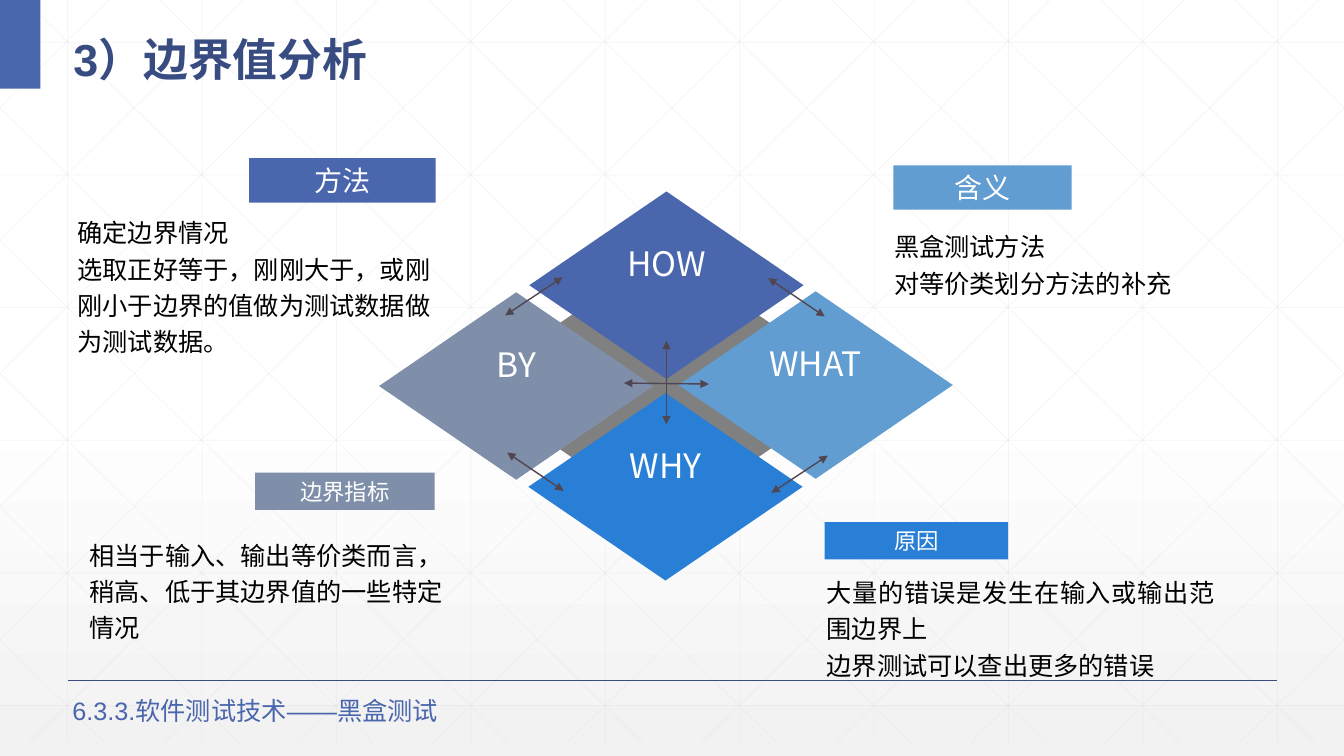
from dataclasses import dataclass

from lxml import etree
from pptx import Presentation
from pptx.dml.color import RGBColor
from pptx.enum.lang import MSO_LANGUAGE_ID
from pptx.enum.shapes import MSO_CONNECTOR, MSO_SHAPE
from pptx.enum.text import MSO_ANCHOR, PP_ALIGN
from pptx.oxml.ns import qn
from pptx.util import Inches, Pt

STRAIGHT = MSO_CONNECTOR.STRAIGHT
RECTANGLE, DIAMOND = MSO_SHAPE.RECTANGLE, MSO_SHAPE.DIAMOND
LEFT, CENTER, JUSTIFY = PP_ALIGN.LEFT, PP_ALIGN.CENTER, PP_ALIGN.JUSTIFY
TOP, MIDDLE = MSO_ANCHOR.TOP, MSO_ANCHOR.MIDDLE
CHINESE = MSO_LANGUAGE_ID.SIMPLIFIED_CHINESE

PAGE_WIDTH, PAGE_HEIGHT = 13.33, 7.5
GRID_BOTTOM = 7.37
GRID_STEP = 4 / 3
DIAGONAL_RUN = 7.455
BODY_FONT, LABEL_FONT = "Arial", "Noto Sans CJK SC"
COLORS = {
    "white": "FFFFFF", "pale": "F2F2F2", "grid": "D9D9D9", "black": "000000",
    "navy": "384C81", "indigo": "4A66AC", "sky": "629DD1", "blue": "297FD5",
    "slate": "7F8FA9", "gray": "808080", "arrow": "504652",
}


@dataclass
class Petal:
    text: str
    left: float
    top: float
    color: str


@dataclass
class Label:
    text: str
    left: float
    top: float
    width: float
    height: float
    color: str
    size: int


@dataclass
class Note:
    lines: list[str]
    left: float
    top: float
    width: float
    height: float
    first_align: PP_ALIGN = LEFT


@dataclass
class Arrow:
    x1: float
    y1: float
    x2: float
    y2: float


LABELS = [
    Label("方法", 2.47, 1.57, 1.85, 0.44, "indigo", 20),
    Label("原因", 8.18, 5.18, 1.82, 0.37, "blue", 16),
    Label("含义", 8.86, 1.64, 1.77, 0.44, "sky", 20),
    Label("边界指标", 2.53, 4.69, 1.78, 0.37, "slate", 16),
]
PETALS = [
    Petal("BY", 3.76, 2.9, "slate"),
    Petal("HOW", 5.25, 1.9, "indigo"),
    Petal("WHAT", 6.73, 2.89, "sky"),
    Petal("WHY", 5.24, 3.9, "blue"),
]
NOTES = [
    Note(["黑盒测试方法", "对等价类划分方法的补充"], 8.77, 2.19, 3.69, 1.14),
    Note(["大量的错误是发生在输入或输出范围边界上", "边界测试可以查出更多的错误"],
         8.1, 5.62, 4.05, 1.49, JUSTIFY),
    Note(["相当于输入、输出等价类而言，稍高、低于其边界值的一些特定情况"],
         0.79, 5.25, 3.73, 1.16),
    Note(["确定边界情况",
          "选取正好等于，刚刚大于，或刚刚小于边界的值做为测试数据做为测试数据。"],
         0.67, 2.05, 3.73, 1.7),
]
ARROWS = [
    Arrow(7.65, 4.89, 8.21, 4.52), Arrow(5.01, 3.13, 5.58, 2.75),
    Arrow(5.03, 4.49, 5.59, 4.87), Arrow(7.62, 2.76, 8.18, 3.14),
    Arrow(6.19, 3.8, 7.03, 3.81), Arrow(6.61, 4.21, 6.61, 3.38),
]


def rgb(name: str) -> RGBColor:
    return RGBColor.from_string(COLORS[name])


def add_line(page, x1: float, y1: float, x2: float, y2: float, color: str,
             width: float = 1, opacity: int = 100, arrows: bool = False) -> None:
    line = page.shapes.add_connector(
        STRAIGHT, Inches(x1), Inches(y1), Inches(x2), Inches(y2))
    line.line.color.rgb = rgb(color)
    line.line.width = Pt(width)
    properties = line._element.spPr
    outline = properties.find(qn("a:ln"))
    if opacity < 100:
        shade = outline.find(".//" + qn("a:srgbClr"))
        etree.SubElement(shade, qn("a:alpha")).set("val", str(opacity * 1000))
    if arrows:
        for end in ("a:headEnd", "a:tailEnd"):
            etree.SubElement(outline, qn(end)).set("type", "triangle")
    etree.SubElement(properties, qn("a:effectLst"))


def add_block(page, kind: MSO_SHAPE, left: float, top: float, width: float,
              height: float, color: str):
    block = page.shapes.add_shape(
        kind, Inches(left), Inches(top), Inches(width), Inches(height))
    block.shadow.inherit = False
    block.fill.solid()
    block.fill.fore_color.rgb = rgb(color)
    block.line.fill.background()
    return block


def add_box(page, left: float, top: float, width: float, height: float):
    return page.shapes.add_textbox(
        Inches(left), Inches(top), Inches(width), Inches(height))


def write(box, lines: list[str], *, size: int = 18, color: str = "black",
          font: str = BODY_FONT, bold: bool = False, align: PP_ALIGN = LEFT,
          first_align: PP_ALIGN | None = None, spacing: float = 1,
          anchor: MSO_ANCHOR = TOP) -> None:
    frame = box.text_frame
    frame.word_wrap = True
    frame.vertical_anchor = anchor
    for index, text in enumerate(lines):
        para = frame.add_paragraph() if index else frame.paragraphs[0]
        para.alignment = align if index or first_align is None else first_align
        para.line_spacing = spacing
        span = para.add_run()
        span.text = text
        span.font.size = Pt(size)
        span.font.bold = bold
        span.font.name = font
        span.font.color.rgb = rgb(color)
        span.font.language_id = CHINESE
        etree.SubElement(span.font._element, qn("a:ea")).set("typeface", font)


def draw_background(page) -> None:
    fill = page.background.fill
    fill.gradient()
    fill.gradient_angle = 270
    for stop, position, color in zip(fill.gradient_stops, (0.53, 1), ("white", "pale")):
        stop.position = position
        stop.color.rgb = rgb(color)

    def grid_line(x1: float, y1: float, x2: float, y2: float) -> None:
        add_line(page, x1, y1, x2, y2, "grid", width=0.5, opacity=25)

    for column in range(10):
        x = 0.67 + column * GRID_STEP
        grid_line(x, 0, x, GRID_BOTTOM)
    for row in range(6):
        y = 0.42 + row * 1.316
        grid_line(0, y, PAGE_WIDTH, y)

    # Diagonals, cut at the page edges and mirrored
    slope = GRID_BOTTOM / DIAGONAL_RUN
    for step in range(-5, 10):
        start = 0.25 + step * GRID_STEP
        x1, x2 = max(start, 0), min(start + DIAGONAL_RUN, PAGE_WIDTH)
        y1, y2 = (x1 - start) * slope, (x2 - start) * slope
        grid_line(x1, y1, x2, y2)
        grid_line(PAGE_WIDTH - x1, y1, PAGE_WIDTH - x2, y2)


def main() -> None:
    deck = Presentation()
    deck.slide_width, deck.slide_height = Inches(PAGE_WIDTH), Inches(PAGE_HEIGHT)
    page = deck.slides.add_slide(deck.slide_layouts[6])
    draw_background(page)

    # Title and footer
    add_line(page, 0.67, 6.75, 12.67, 6.75, "navy")
    add_block(page, RECTANGLE, 0, 0, 0.4, 0.88, "indigo")
    write(add_box(page, 0.63, 0.14, 12.05, 0.73), ["3）边界值分析"], size=32,
          color="navy", bold=True, spacing=1.3, anchor=MIDDLE)
    write(add_box(page, 0.62, 6.85, 4.62, 0.4), ["6.3.3.软件测试技术——黑盒测试"],
          color="indigo")

    # Four diamonds over a gray one
    add_block(page, DIAMOND, 4.64, 2.49, 3.91, 2.68, "gray")
    for petal in PETALS:
        add_block(page, DIAMOND, petal.left, petal.top, 2.72, 1.86, petal.color)
        write(add_box(page, petal.left + 0.73, petal.top + 0.46, 1.26, 0.5),
              [petal.text], size=24, color="white", font=LABEL_FONT, align=CENTER)
    for arrow in ARROWS:
        add_line(page, arrow.x1, arrow.y1, arrow.x2, arrow.y2, "arrow", arrows=True)

    # Labels and their notes
    for label in LABELS:
        block = add_block(page, RECTANGLE, label.left, label.top, label.width,
                          label.height, label.color)
        write(block, [label.text], size=label.size, color="white", font=LABEL_FONT,
              align=CENTER, anchor=MIDDLE)
    for note in NOTES:
        write(add_box(page, note.left, note.top, note.width, note.height), note.lines,
              first_align=note.first_align, spacing=1.2)

    deck.save("out.pptx")


if __name__ == "__main__":
    main()
